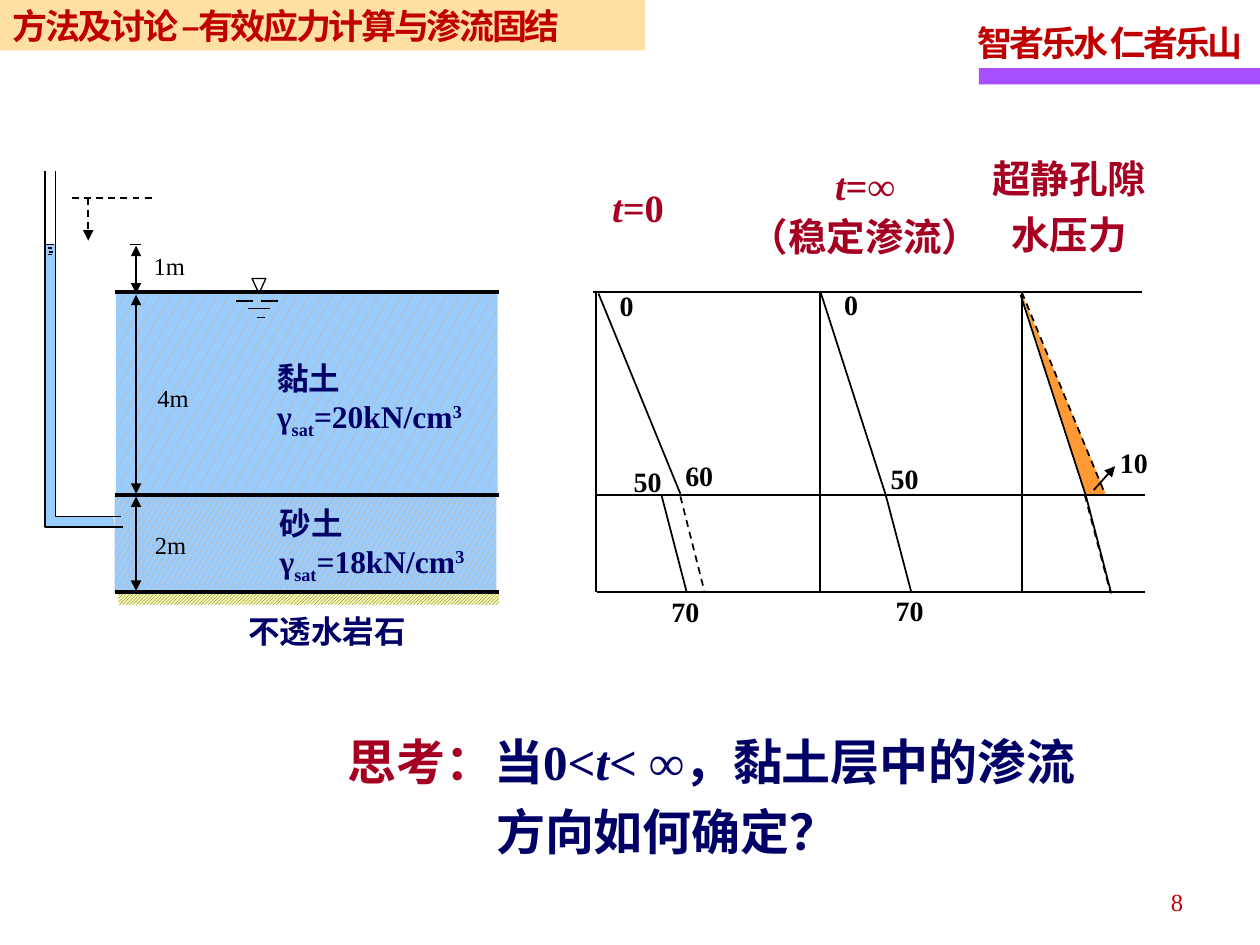
from lxml import etree
from pptx import Presentation
from pptx.dml.color import RGBColor
from pptx.enum import dml, shapes, text
from pptx.oxml import ns
from pptx.util import Inches, Pt

COLORS = {
    "black": "000000", "red": "C00000", "crimson": "A50021", "navy": "000066",
    "purple": "A74FFF", "sand": "FFCC66", "water": "99CCFF", "orange": "FF9933",
    "rock": "FFFF99", "rock hatch": "333399",
}
COLORS = {name: RGBColor.from_string(value) for name, value in COLORS.items()}
LATIN, CHINESE = "Times New Roman", "Noto Sans CJK SC"
TOP, MIDDLE, BOTTOM = 2.32, 3.93, 4.7


def add_text(box, paragraphs, size, color, bold=True, spacing=1.0, align="LEFT",
             wrap=False, latin=LATIN, tracking=0):
    """Fill a box or placeholder; each paragraph is a list of (text, style) runs.

    A style is "", "italic", "sub", "super" or the name of a colour.
    """
    frame = box.text_frame
    frame.word_wrap = wrap
    frame.auto_size = text.MSO_AUTO_SIZE.NONE
    for index, runs in enumerate(paragraphs):
        paragraph = frame.add_paragraph() if index else frame.paragraphs[0]
        paragraph.line_spacing = spacing
        paragraph.alignment = text.PP_ALIGN[align]
        for words, style in runs:
            run = paragraph.add_run()
            run.text = words
            font = run.font
            font.size, font.bold, font.name = Pt(size), bold, latin
            font.italic = style == "italic"
            font.color.rgb = COLORS.get(style, COLORS[color])
            properties = run._r.get_or_add_rPr()
            etree.SubElement(properties, ns.qn("a:ea"), typeface=CHINESE)
            if style in ("sub", "super"):
                properties.set("baseline", "-25000" if style == "sub" else "30000")
            if tracking:
                properties.set("spc", str(tracking))


def add_line(x1, y1, x2, y2, width=1, dashed=False, arrows=()):
    connector = slide.shapes.add_connector(
        shapes.MSO_CONNECTOR.STRAIGHT, Inches(x1), Inches(y1), Inches(x2), Inches(y2))
    connector.line.color.rgb = COLORS["black"]
    connector.line.width = Pt(width)
    if dashed:
        connector.line.dash_style = dml.MSO_LINE.DASH
    for end in arrows:
        etree.SubElement(connector.get_or_add_ln(), ns.qn(f"a:{end}End"), type="triangle")
    etree.SubElement(connector._element.spPr, ns.qn("a:effectLst"))


presentation = Presentation()
presentation.slide_width, presentation.slide_height = Inches(10), Inches(7.5)
slide = presentation.slides.add_slide(presentation.slide_layouts[5])

# Title band
title = slide.shapes.title
title.left, title.top, title.width, title.height = map(Inches, (0, 0, 5.12, 0.4))
title.fill.solid()
title.fill.fore_color.rgb = COLORS["sand"]
band_color = title._element.spPr.find(".//" + ns.qn("a:srgbClr"))
etree.SubElement(band_color, ns.qn("a:alpha"), val="60000")
title.text_frame.vertical_anchor = text.MSO_ANCHOR.MIDDLE
add_text(title, [[("方法及讨论 –有效应力计算与渗流固结", "")]], 20, "red",
         wrap=True, latin=CHINESE, tracking=-140)

# Motto bar, soil layers and bedrock
pattern = dml.MSO_PATTERN
for left, top, width, height, hatch, front, back in [
    (7.77, 0.54, 2.23, 0.13, None, "purple", None),
    (0.91, MIDDLE, 3.03, 0.77, pattern.LARGE_CONFETTI, "orange", "water"),
    (0.92, TOP, 3.03, 1.61, pattern.SMALL_CONFETTI, "orange", "water"),
    (0.94, BOTTOM, 3.02, 0.1, pattern.LIGHT_UPWARD_DIAGONAL, "rock hatch", "rock"),
]:
    block = slide.shapes.add_shape(shapes.MSO_SHAPE.RECTANGLE, Inches(left),
                                   Inches(top), Inches(width), Inches(height))
    block.shadow.inherit = False
    block.line.fill.background()
    if hatch:
        block.fill.patterned()
        block.fill.pattern = hatch
        block.fill.back_color.rgb = COLORS[back]
    else:
        block.fill.solid()
    block.fill.fore_color.rgb = COLORS[front]

# Standpipe water, standpipe walls and excess pore pressure wedge
for points, fill in [
    ([(0.9, 4.1), (0.44, 4.1), (0.44, 1.94), (0.36, 1.94), (0.36, 4.18), (0.91, 4.18)],
     "water"),
    ([(0.96, 4.1), (0.44, 4.1), (0.44, 1.36)], None),
    ([(0.98, 4.18), (0.36, 4.18), (0.36, 1.36)], None),
    ([(8.62, 3.93), (8.78, 3.93), (8.1, 2.31)], "orange"),
]:
    corners = [(Inches(x), Inches(y)) for x, y in points]
    builder = slide.shapes.build_freeform(*corners[0])
    builder.add_line_segments(corners[1:], close=bool(fill))
    outline = builder.convert_to_shape()
    outline.shadow.inherit = False
    if fill:
        outline.fill.solid()
        outline.fill.fore_color.rgb = COLORS[fill]
        outline.line.fill.background()
    else:
        outline.fill.background()
        outline.line.color.rgb = COLORS["black"]
        outline.line.width = Pt(1)

# Layer boundaries in the soil profile and across the pressure diagrams
for y, diagram_left in [(TOP, 4.71), (MIDDLE, 4.74), (BOTTOM, 4.74)]:
    add_line(0.91, y, 3.96, y, width=2.25)
    add_line(diagram_left, y, diagram_left + 4.35, y)

# Water table mark
triangle = slide.shapes.add_shape(shapes.MSO_SHAPE.ISOSCELES_TRIANGLE, Inches(2),
                                  Inches(2.21), Inches(0.11), Inches(0.12))
triangle.rotation = 180
triangle.shadow.inherit = False
triangle.fill.background()
triangle.line.color.rgb = COLORS["black"]
triangle.line.width = Pt(0.75)
for x1, x2, y in [(1.87, 2.01, 2.39), (2.07, 2.21, 2.39), (1.97, 2.14, 2.45),
                  (2.04, 2.1, 2.52)]:
    add_line(x1, y, x2, y, width=0.75)

# Standpipe water level and the dashed level falling towards it
for x1, x2, y in [(0.36, 0.43, 1.94), (0.38, 0.41, 1.97), (0.39, 0.42, 2),
                  (0.38, 0.41, 2.02), (1.03, 1.12, 1.94)]:
    add_line(x1, y, x2, y)
add_line(0.57, 1.57, 1.24, 1.57, dashed=True)
add_line(0.7, 1.57, 0.7, 1.91, dashed=True, arrows=["tail"])

# Depth dimensions
for y1, y2, label, left, top in [
    (1.95, 2.33, "1m", 1.12, 1.91),
    (2.34, 3.92, "4m", 1.15, 2.96),
    (3.94, 4.69, "2m", 1.13, 4.12),
]:
    add_line(1.08, y2, 1.08, y1, arrows=["head", "tail"])
    box = slide.shapes.add_textbox(Inches(left), Inches(top), Inches(0.45), Inches(0.37))
    add_text(box, [[(label, "")]], 14, "black", bold=False, spacing=1.15)

# Pressure diagrams
for axis in (4.73, 6.51, 8.11):
    add_line(axis, TOP, axis, BOTTOM)
for line in [(4.75, 2.33, 5.4, 3.92), (5.25, 3.93, 5.45, 4.7),
             (6.51, 2.31, 7.03, 3.93), (7.03, 3.93, 7.23, 4.69),
             (8.1, 2.34, 8.62, 3.94), (8.62, 3.94, 8.82, 4.71)]:
    add_line(*line)
for line in [(5.4, 3.94, 5.59, 4.69), (8.61, 3.93, 8.81, 4.69), (8.11, 2.32, 8.77, 3.92)]:
    add_line(*line, dashed=True)
add_line(8.68, 3.89, 8.85, 3.7, arrows=["tail"])
for value, left, top in [
    ("0", 4.82, 2.2), ("50", 4.93, 3.6), ("60", 5.34, 3.55), ("70", 5.23, 4.63),
    ("0", 6.6, 2.19), ("50", 6.97, 3.57), ("70", 7.01, 4.62), ("10", 8.79, 3.45),
]:
    box = slide.shapes.add_textbox(Inches(left), Inches(top),
                                   Inches(0.2 + 0.11 * len(value)), Inches(0.41))
    add_text(box, [[(value, "")]], 16, "black", spacing=1.15)

# Diagram headings
for place, paragraphs, spacing, align in [
    ((4.76, 1.34, 1.24, 0.51), [[("t", "italic"), ("=0", "")]], 1.2, "LEFT"),
    ((5.77, 1.2, 2.19, 0.91),
     [[("t", "italic"), ("=∞", "")], [("（稳定渗流）", "")]], 1.1, "CENTER"),
    ((7.75, 1.11, 1.47, 0.98), [[("超静孔隙水压力", "")]], 1.2, "CENTER"),
]:
    box = slide.shapes.add_textbox(*map(Inches, place))
    add_text(box, paragraphs, 22, "crimson", spacing=spacing, align=align, wrap=True)

# Soil names and unit weights
for soil, weight, left, top in [("黏土", 20, 2.1, 2.8), ("砂土", 18, 2.12, 3.95)]:
    box = slide.shapes.add_textbox(Inches(left), Inches(top), Inches(1.71), Inches(0.7))
    add_text(box, [[(soil, "")], [("γ", ""), ("sat", "sub"), (f"={weight}kN/cm", ""),
                                  ("3", "super")]], 18, "navy")
box = slide.shapes.add_textbox(Inches(1.87), Inches(4.81), Inches(1.45), Inches(0.4))
add_text(box, [[("不透水岩石", "")]], 18, "navy")

# Question, motto and slide number
question = slide.shapes.add_textbox(Inches(2.66), Inches(5.66), Inches(6.34), Inches(1.23))
indent = question.text_frame.paragraphs[0]._p.get_or_add_pPr()
indent.set("marL", str(Inches(1.18)))
indent.set("indent", str(Inches(-1.18)))
add_text(question, [[("思考：", "crimson"), ("当0<", ""), ("t", "italic"),
                     ("< ∞，黏土层中的渗流方向如何确定？", "")]],
         28, "navy", spacing=1.2, wrap=True)
motto = slide.shapes.add_textbox(Inches(7.66), Inches(0.07), Inches(2.36), Inches(0.49))
add_text(motto, [[("智者乐水 仁者乐山", "")]], 20, "red", spacing=1.15, tracking=-170)
number = slide.shapes.add_textbox(Inches(7.16), Inches(6.96), Inches(2.33), Inches(0.4))
add_text(number, [[("8", "")]], 14, "red", bold=False, spacing=1.15, align="RIGHT", wrap=True)

presentation.save("out.pptx")
